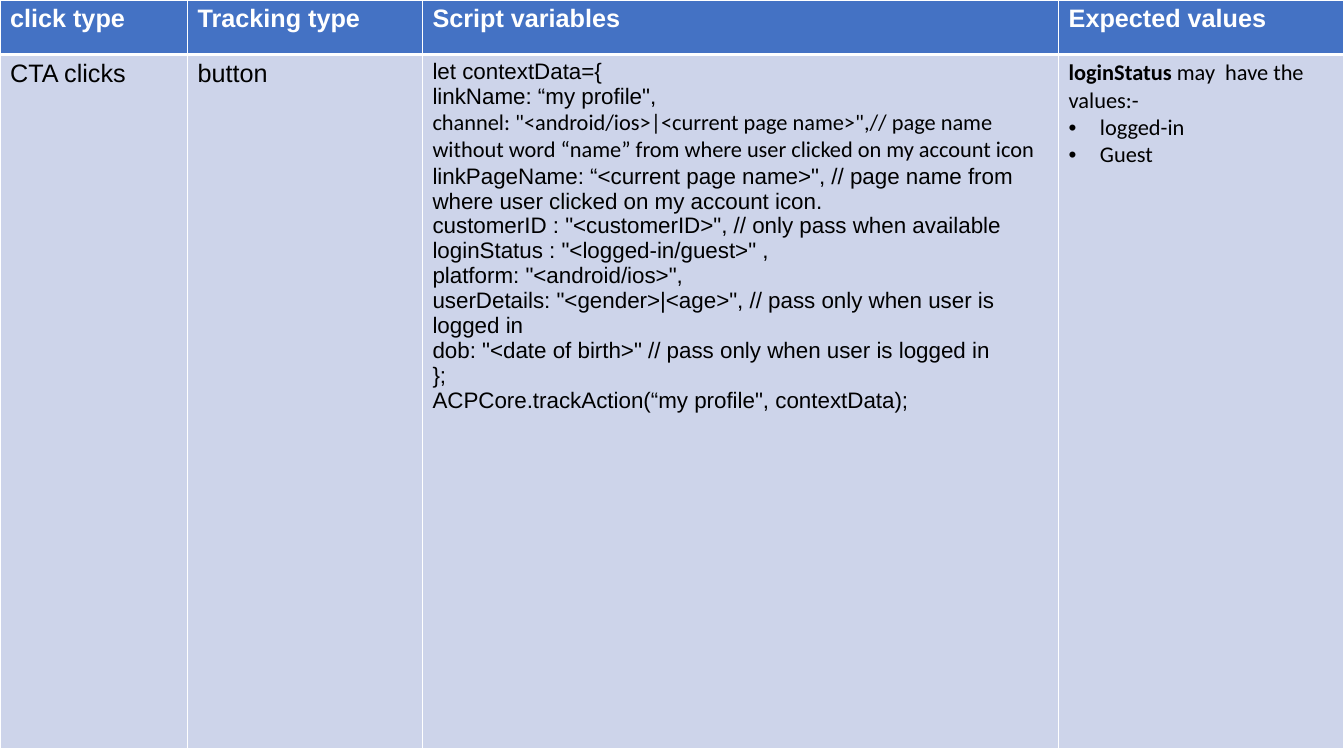
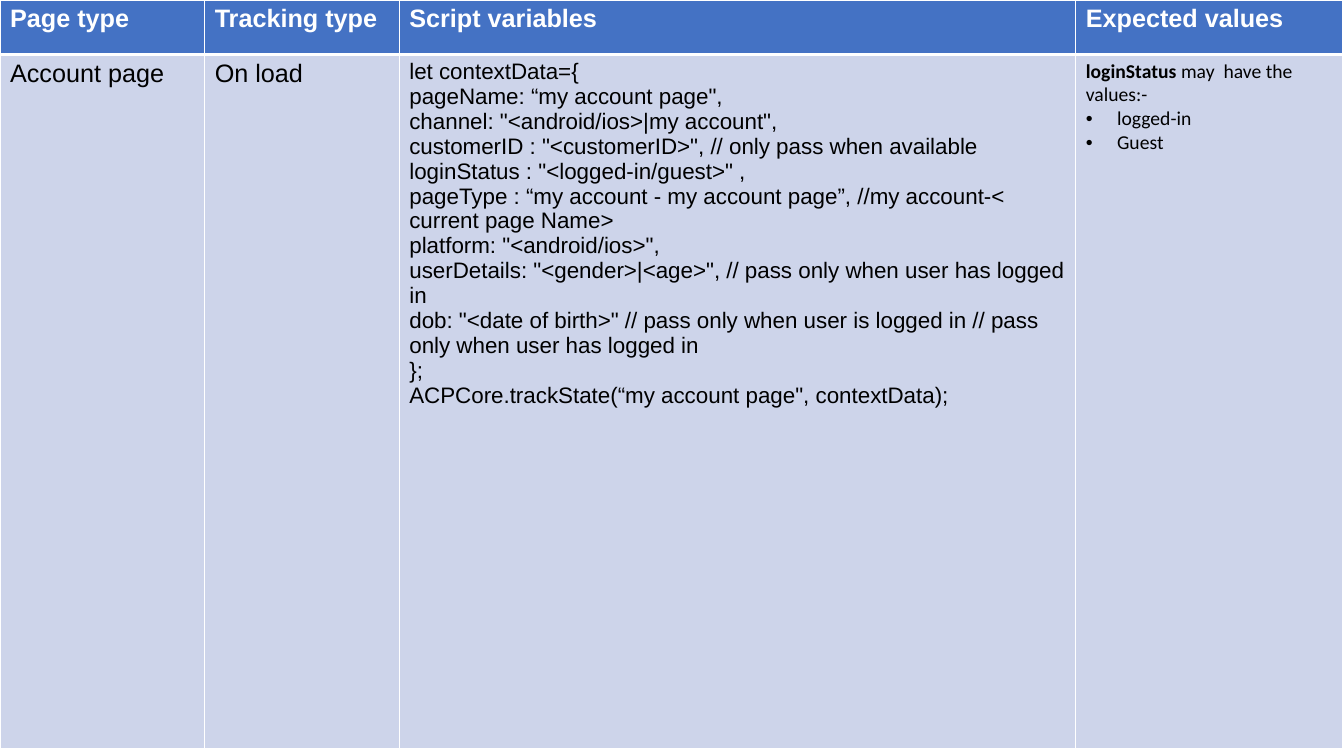
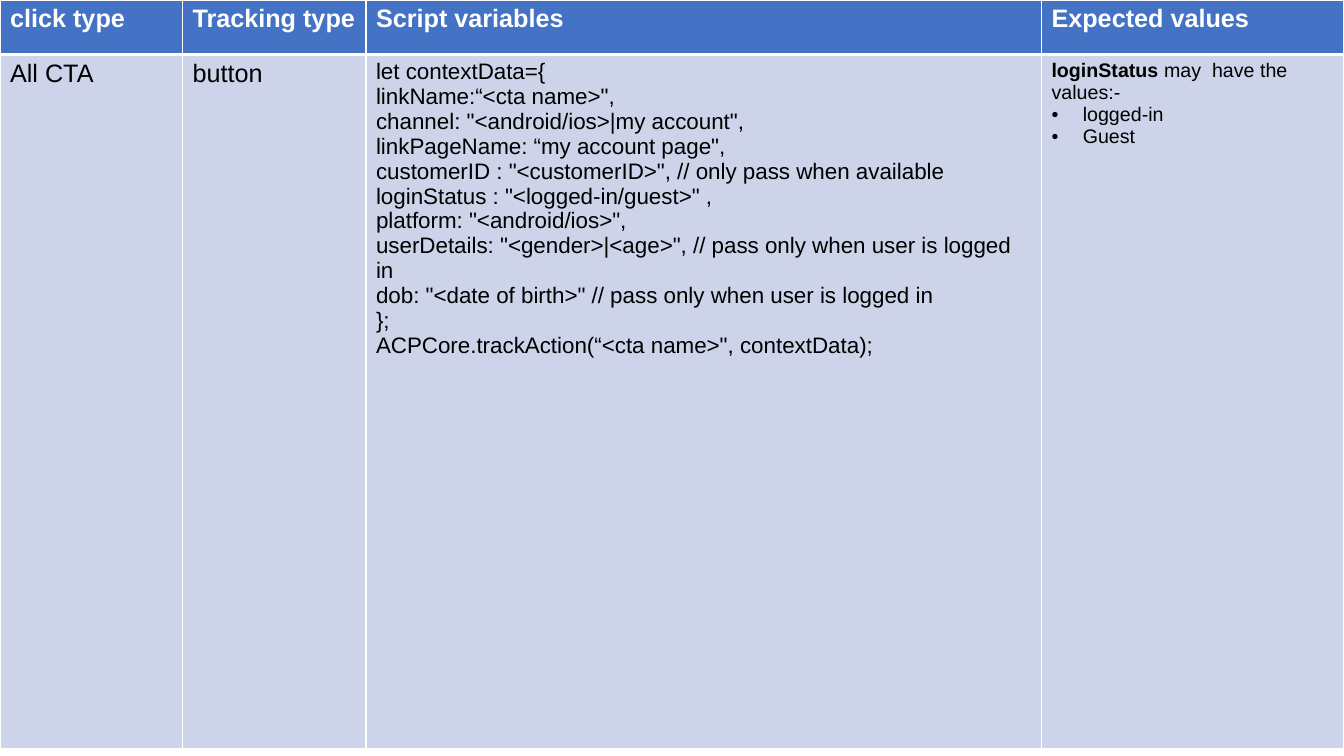
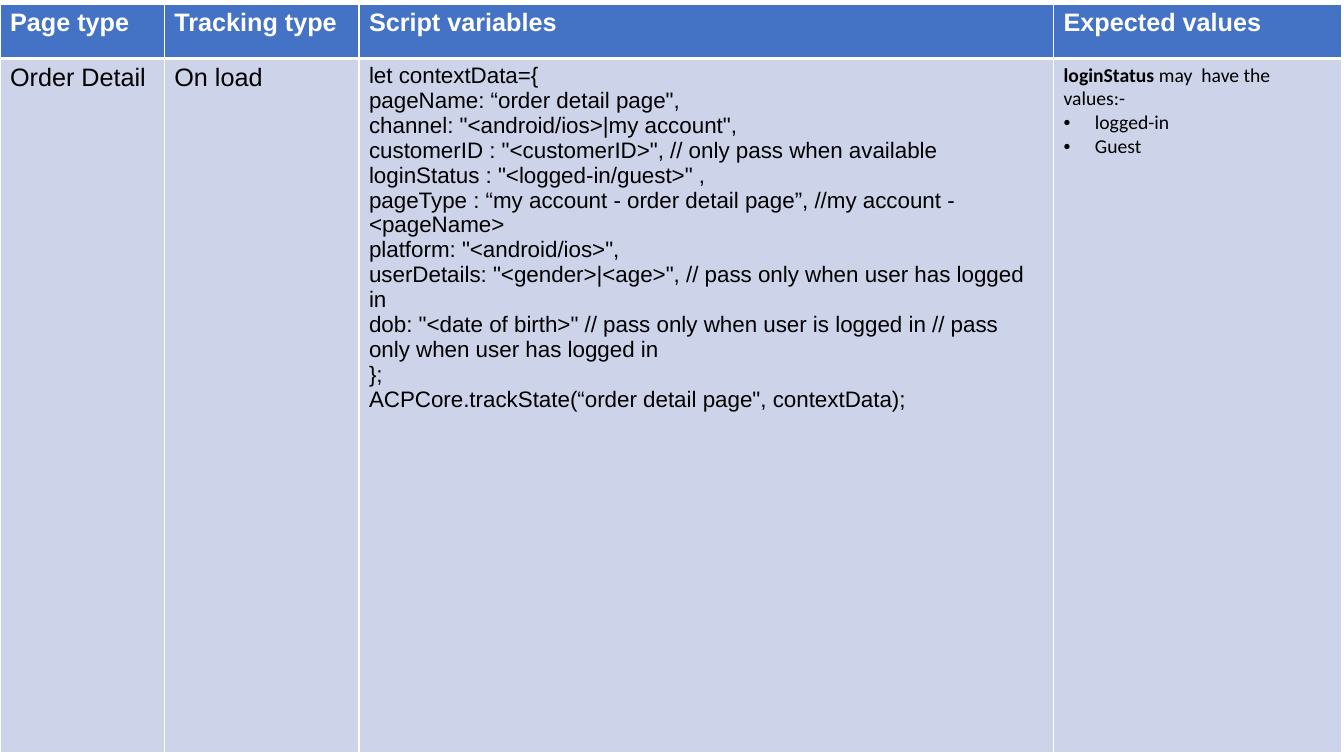
"""Build four tracking specification tables for an account area."""

import dataclasses

import lxml.etree
import pptx
import pptx.dml.color
import pptx.oxml.ns
import pptx.slide
import pptx.table
import pptx.text.text
import pptx.util

Inches = pptx.util.Inches
WHITE = pptx.dml.color.RGBColor(0xFF, 0xFF, 0xFF)
BLACK = pptx.dml.color.RGBColor(0, 0, 0)
BLUE = pptx.dml.color.RGBColor(0x44, 0x72, 0xC4)
PALE = pptx.dml.color.RGBColor(0xCD, 0xD4, 0xEA)
SANS = "Arial"
HUMAN = "Calibri"
ROWS = (0.54, 6.89)
THIN, THICK = 1, 3

OPEN = "let contextData={"
CHANNEL = 'channel: "<android/ios>|my account",'
CLIENT = 'customerID : "<customerID>", // only pass when available'
LOGIN = 'loginStatus : "<logged-in/guest>" ,'
SYSTEM = 'platform: "<android/ios>",'
USER = 'userDetails: "<gender>|<age>", // pass only when user '
BIRTH = 'dob: "<date of birth>" // pass only when user is logged in'
CLOSE = "};"


@dataclasses.dataclass(frozen=True)
class Line:
    """One paragraph of code with its typeface."""

    text: str
    face: str = SANS


@dataclasses.dataclass(frozen=True)
class Sheet:
    """The content and layout of one tracking table."""

    kind: str
    item: str
    event: str
    code: list[Line]
    cols: tuple[float, ...]
    size: int = 14
    face: str = HUMAN
    top: float = 0


def click_code(name: str, links: list[Line]) -> list[Line]:
    """Return the code that tracks a click."""
    user = "\n".join((LOGIN, SYSTEM, USER + "is logged in", BIRTH))
    call = f'ACPCore.trackAction(“{name}", contextData);'
    return [Line(OPEN), *links, *map(Line, (CLIENT, user, CLOSE, call))]


def page_code(name: str, note: str) -> list[Line]:
    """Return the code that tracks a page load."""
    kind = f"pageType : “my account - {name}”, //my account{note}"
    birth = BIRTH + " // pass only when user has logged in"
    user = "\n".join((kind, SYSTEM, USER + "has logged in", birth))
    call = f'ACPCore.trackState(“{name}", contextData);'
    page = f'pageName: “{name}",'
    return [Line(text) for text in (OPEN, page, CHANNEL, CLIENT, LOGIN, user, CLOSE, call)]


SHEETS = (
    Sheet("click type", "CTA clicks", "button", click_code("my profile", [
        Line('linkName: “my profile",'),
        Line('channel: "<android/ios>|<current page name>",// page name without word '
             "“name” from where user clicked on my account icon", HUMAN),
        Line('linkPageName: “<current page name>", // page name from where user '
             "clicked on my account icon."),
    ]), (1.86, 2.33, 6.31, 2.83), size=16),
    Sheet("Page type", "Account page", "On load",
          page_code("my account page", "-< current page Name>"), (2.03, 1.93, 6.71, 2.65)),
    Sheet("click type", "All CTA", "button", click_code("<cta name>", [
        Line('linkName:“<cta name>",'),
        Line(CHANNEL),
        Line('linkPageName: “my account page",'),
    ]), (1.81, 1.82, 6.7, 3), face=SANS),
    Sheet("Page type", "Order Detail", "On load",
          page_code("order detail page", " - <pageName>"), (1.63, 1.93, 6.89, 2.86), top=0.04),
)


def add_node(root: lxml.etree._Element, tag: str, **attrs: str) -> lxml.etree._Element:
    """Append a drawing element to a parent."""
    return lxml.etree.SubElement(root, pptx.oxml.ns.qn(tag), attrs)


def set_font(para: pptx.text.text._Paragraph, size: int, face: str = SANS,
             color: pptx.dml.color.RGBColor = BLACK, bold: bool | None = False) -> None:
    """Format all the text of a paragraph."""
    font = para.font
    font.size, font.name, font.bold = pptx.util.Pt(size), face, bold
    font.color.rgb = color


def style_cell(cell: pptx.table._Cell, fill: pptx.dml.color.RGBColor,
               above: int, below: int) -> None:
    """Fill a cell and rule its four sides in white."""
    cell.fill.solid()
    cell.fill.fore_color.rgb = fill
    props = cell._tc.get_or_add_tcPr()
    sides = (("L", THIN), ("R", THIN), ("T", above), ("B", below))
    for rank, (side, width) in enumerate(sides):
        rule = add_node(props, f"a:ln{side}", w=str(pptx.util.Pt(width)))
        add_node(add_node(rule, "a:solidFill"), "a:srgbClr", val=str(WHITE))
        props.insert(rank, rule)


def add_bullet(para: pptx.text.text._Paragraph) -> None:
    """Give a paragraph a black bullet and a hanging indent."""
    props = para._p.get_or_add_pPr()
    props.set("marL", str(Inches(0.31)))
    props.set("indent", str(Inches(-0.31)))
    add_node(add_node(props, "a:buClr"), "a:srgbClr", val=str(BLACK))
    add_node(props, "a:buFont", typeface=SANS)
    add_node(props, "a:buChar", char="•")


def write_code(frame: pptx.text.text.TextFrame, code: list[Line]) -> None:
    """Write the code, one paragraph per line."""
    for rank, line in enumerate(code):
        para = frame.add_paragraph() if rank else frame.paragraphs[0]
        para.text = line.text
        set_font(para, 16, line.face)


def write_values(frame: pptx.text.text.TextFrame, size: int, face: str) -> None:
    """Write the values that the login status may have."""
    lead = frame.paragraphs[0]
    for text, bold in (("loginStatus ", True), ("may  have the values:-", False)):
        run = lead.add_run()
        run.text, run.font.bold = text, bold
    set_font(lead, size, face, bold=None)
    for text in ("logged-in", "Guest"):
        para = frame.add_paragraph()
        para.text = text
        add_bullet(para)
        set_font(para, size, face)


def draw_sheet(slide: pptx.slide.Slide, sheet: Sheet) -> None:
    """Draw one tracking table on a slide."""
    table = slide.shapes.add_table(
        len(ROWS), len(sheet.cols), 0, Inches(sheet.top),
        Inches(sum(sheet.cols)), Inches(sum(ROWS))).table
    table.horz_banding = False
    for column, width in zip(table.columns, sheet.cols):
        column.width = Inches(width)
    for row, height in zip(table.rows, ROWS):
        row.height = Inches(height)
    heads = (sheet.kind, "Tracking type", "Script variables", "Expected values")
    for rank, text in enumerate(heads):
        head, body = table.cell(0, rank), table.cell(1, rank)
        style_cell(head, BLUE, THIN, THICK)
        style_cell(body, PALE, THICK, THIN)
        head.text = text
        set_font(head.text_frame.paragraphs[0], 18, color=WHITE, bold=True)
    for rank, text in enumerate((sheet.item, sheet.event)):
        cell = table.cell(1, rank)
        cell.text = text
        set_font(cell.text_frame.paragraphs[0], 18)
    write_code(table.cell(1, 2).text_frame, sheet.code)
    write_values(table.cell(1, 3).text_frame, sheet.size, sheet.face)


def main() -> None:
    """Build and save the deck."""
    deck = pptx.Presentation()
    deck.slide_width, deck.slide_height = Inches(13.33), Inches(7.5)
    for sheet in SHEETS:
        draw_sheet(deck.slides.add_slide(deck.slide_layouts[6]), sheet)
    deck.save("out.pptx")


if __name__ == "__main__":
    main()
